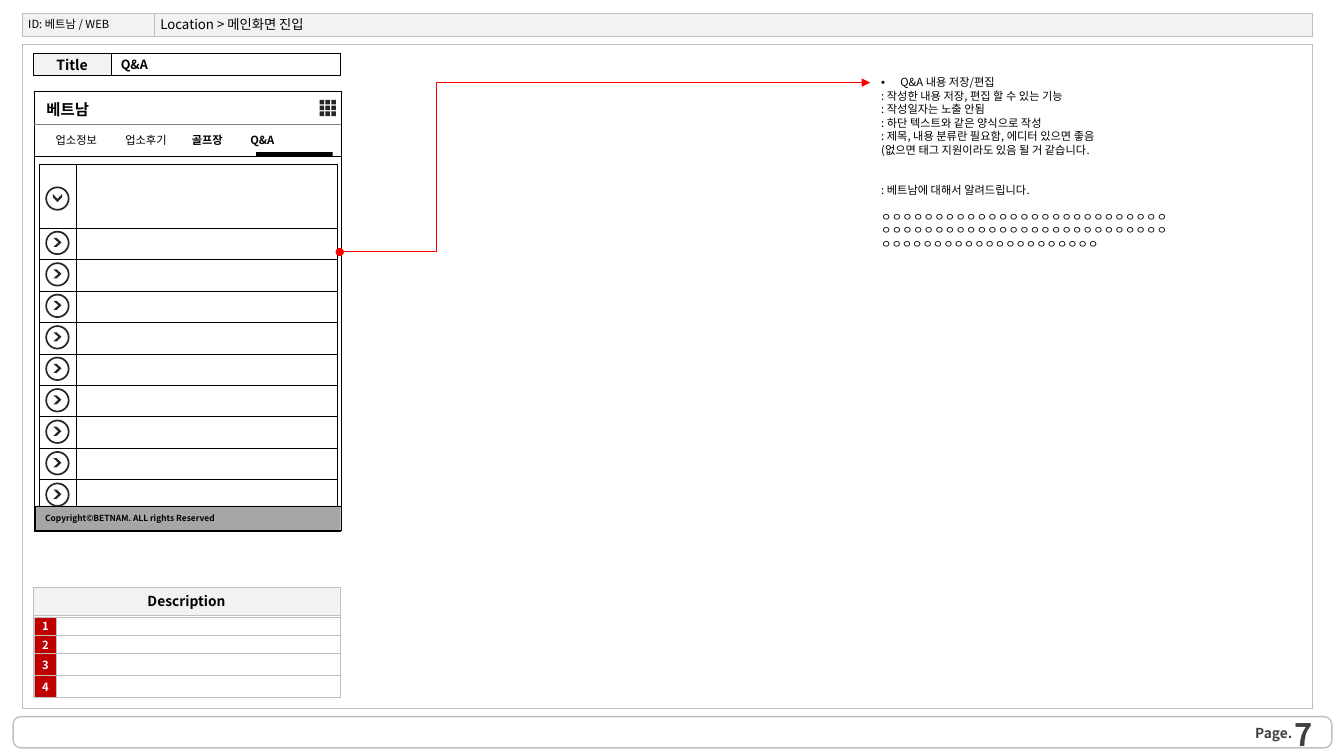
from collections import namedtuple

from lxml import etree
from pptx import Presentation
from pptx import util as u
from pptx.dml.color import RGBColor
from pptx.enum import shapes, text
from pptx.oxml import ns

Box = namedtuple("Box", "left top width height")
FONT = "Noto Sans CJK KR"
COLORS = {
    "black": "000000", "white": "FFFFFF", "ink": "262626", "dark": "404040",
    "gray": "808080", "footer": "A6A6A6", "border": "BFBFBF", "panel": "F2F2F2",
    "number": "C00000", "arrow": "FF0000",
}
KIND = shapes.MSO_SHAPE
ALIGN = text.PP_ALIGN
ANCHOR = text.MSO_ANCHOR


def color(name):
    return RGBColor.from_string(COLORS[name])


def inside(box, left, top, width, height):
    return Box(box.left + left, box.top + top, width, height)


def lengths(values):
    return [u.Inches(value) for value in values]


def add_xml(parent, tag, **attributes):
    return etree.SubElement(parent, ns.qn(tag), attributes)


def style_para(para, size, bold=False, ink="black", align=ALIGN.LEFT):
    para.alignment = align
    para.font.size = u.Pt(size)
    para.font.bold = bold
    para.font.color.rgb = color(ink)
    para.font.name = FONT
    add_xml(para.font._element, "a:ea", typeface=FONT)


def write(frame, words, size, insets=(0.1, 0, 0.1, 0), wrap=True, **style):
    frame.word_wrap = wrap
    frame.auto_size = text.MSO_AUTO_SIZE.NONE
    frame.vertical_anchor = ANCHOR.MIDDLE
    frame.margin_left, frame.margin_top, frame.margin_right, frame.margin_bottom = lengths(insets)
    frame.text = words
    for para in frame.paragraphs:
        style_para(para, size, **style)


def place(page, holder, box):
    holder.left, holder.top, holder.width, holder.height = lengths(box)
    page.shapes._spTree.append(holder._element)


def add_label(page, box, words, size, **style):
    label = page.shapes.add_textbox(*lengths(box))
    write(label.text_frame, words, size, **style)


def add_panel(page, box, kind=KIND.RECTANGLE, fill=None, line=None, weight=0.25):
    panel = page.shapes.add_shape(kind, *lengths(box))
    panel.shadow.inherit = False
    if fill:
        panel.fill.solid()
        panel.fill.fore_color.rgb = color(fill)
    else:
        panel.fill.background()
    if line:
        panel.line.color.rgb = color(line)
        panel.line.width = u.Pt(weight)
    else:
        panel.line.fill.background()
    return panel


def add_line(page, start, end, ink, weight, kind=shapes.MSO_CONNECTOR.STRAIGHT):
    line = page.shapes.add_connector(kind, *lengths(start + end))
    line.line.color.rgb = color(ink)
    line.line.width = u.Pt(weight)
    add_xml(line._element.spPr, "a:effectLst")
    return line


def add_border(cell, ink):
    props = cell._tc.get_or_add_tcPr()
    for index, side in enumerate(("a:lnL", "a:lnR", "a:lnT", "a:lnB")):
        edge = etree.Element(ns.qn(side), w=str(u.Pt(0.25)))
        add_xml(add_xml(edge, "a:solidFill"), "a:srgbClr", val=COLORS[ink])
        props.insert(index, edge)


def add_grid(page, box, widths, heights, border, numbered=False):
    table = page.shapes.add_table(len(heights), len(widths), *lengths(box)).table
    table.first_row = table.horz_banding = False
    for column, width in zip(table.columns, widths):
        column.width = u.Inches(width)
    for number, (row, height) in enumerate(zip(table.rows, heights), 1):
        row.height = u.Inches(height)
        for index, cell in enumerate(row.cells):
            marked = numbered and index == 0
            cell.margin_left = cell.margin_right = u.Inches(0.02)
            cell.margin_top = cell.margin_bottom = 0
            cell.vertical_anchor = ANCHOR.MIDDLE
            cell.fill.solid()
            cell.fill.fore_color.rgb = color("number" if marked else "white")
            if marked:
                cell.text = str(number)
            style_para(cell.text_frame.paragraphs[0], 8, marked, "white", ALIGN.CENTER)
            add_border(cell, border)


def add_frame(page, box):
    footer = add_panel(page, inside(box, 0.13, 7.11, 13.08, 0.31), KIND.ROUNDED_RECTANGLE,
                       line="border", weight=1)
    footer.adjustments[0] = 0.25
    add_panel(page, inside(box, 0.22, 0.44, 12.79, 6.59), line="border")
    add_panel(page, inside(box, 1.53, 0.13, 11.48, 0.23), fill="panel", line="border")
    add_panel(page, inside(box, 0.22, 0.13, 1.31, 0.23), fill="panel", line="border")
    add_label(page, inside(box, 12.45, 7.19, 0.56, 0.17), "Page.", 9.8,
              insets=(0, 0, 0, 0), bold=True, ink="dark")
    add_label(page, inside(box, 10.01, 7.2, 3.11, 0.16), "7", 22.1,
              bold=True, ink="dark", align=ALIGN.RIGHT)
    add_label(page, inside(box, 0.23, 0.1, 1.31, 0.28), "ID: 베트남 / WEB", 8, insets=(0.05, 0, 0, 0))
    title = page.shapes.title
    place(page, title, inside(box, 1.54, 0.1, 8.13, 0.28))
    write(title.text_frame, "Location > 메인화면 진입", 9.5, insets=(0.05, 0, 0, 0))


def add_title_bar(page, box):
    name = add_panel(page, box._replace(width=0.77), fill="panel", line="black")
    write(name.text_frame, "Title", 10, bold=True, align=ALIGN.CENTER)
    value = add_panel(page, inside(box, 0.77, 0, box.width - 0.77, box.height), line="black")
    write(value.text_frame, "Q&A", 9, bold=True)


def add_description(page, box):
    add_panel(page, inside(box, 0, 0.27, box.width, 0.81), line="border")
    heading = add_panel(page, box._replace(height=0.27), fill="panel", line="border")
    write(heading.text_frame, "Description", 9.8, wrap=False, bold=True, align=ALIGN.CENTER)
    add_grid(page, inside(box, 0.01, 0.29, 3.03, 0.8), [0.22, 2.81], [0.18, 0.18, 0.22, 0.22],
             "border", numbered=True)


def add_menu_icon(page, box):
    side, pitch = 0.045, 0.058
    builder = None
    for index in range(9):
        row, column = divmod(index, 3)
        left, top = box.left + column * pitch, box.top + row * pitch
        corners = [lengths((left + x, top + y)) for x, y in ((0, 0), (side, 0), (side, side), (0, side))]
        if builder is None:
            builder = page.shapes.build_freeform(*corners[0])
        else:
            builder.move_to(*corners[0])
        builder.add_line_segments(corners[1:], close=True)
    icon = builder.convert_to_shape()
    icon.shadow.inherit = False
    icon.fill.solid()
    icon.fill.fore_color.rgb = color("ink")
    icon.line.fill.background()


def add_toggle(page, box, opened):
    ring = add_panel(page, box, KIND.DONUT, fill="ink")
    ring.adjustments[0] = 0.07
    chevron = add_panel(page, inside(box, 0.08, 0.07, 0.08, 0.09), KIND.CHEVRON, fill="ink")
    chevron.adjustments[0] = 0.6
    chevron.rotation = 90 if opened else 0


def add_tabs(page, box):
    tabs = add_panel(page, inside(box, 0, 0.36, 3.17, 0.26), KIND.FLOWCHART_ALTERNATE_PROCESS)
    write(tabs.text_frame, "", 8, insets=(0.2, 0, 0, 0))
    para = tabs.text_frame.paragraphs[0]
    for words, bold in (("업소정보\t업소후기\t", False), ("골프장\tQ&A", True)):
        span = para.add_run()
        span.text = words
        span.font.bold = bold
    stops = etree.Element(ns.qn("a:tabLst"))
    for stop in (0.69, 1.35, 1.93):
        add_xml(stops, "a:tab", pos=str(u.Inches(stop)), algn="l")
    para._p.pPr.insert(0, stops)
    for top, ink, weight in ((0.65, "black", 0.25), (0.34, "gray", 0.75)):
        add_line(page, (box.left, box.top + top), (box.left + box.width, box.top + top), ink, weight)
    add_panel(page, inside(box, 2.2, 0.61, 0.76, 0.04), fill="black")


def add_phone(page, box):
    add_grid(page, box, [box.width], [box.height], "black")
    add_label(page, inside(box, -0.02, 0.02, 3.05, 0.32), "베트남", 11, insets=(0.14, 0, 0, 0), bold=True)
    add_tabs(page, box)
    add_menu_icon(page, inside(box, 2.83, 0.09, 0.16, 0.16))
    first, total, count = 0.63, 3.44, 9
    step = (total - first) / count
    add_grid(page, inside(box, 0.05, 0.73, 2.95, total), [0.37, 2.58], [first] + [step] * count, "black")
    add_toggle(page, inside(box, 0.11, 0.95, 0.24, 0.24), True)
    for index in range(count):
        add_toggle(page, inside(box, 0.11, 1.39 + index * step, 0.24, 0.24), False)
    footer = add_panel(page, inside(box, 0.01, 4.12, 3.03, 0.24), fill="footer", line="black")
    write(footer.text_frame, "Copyright©BETNAM. ALL rights Reserved", 6, bold=True, align=ALIGN.JUSTIFY)


def add_notes_text(page, box):
    lines = ["Q&A 내용 저장/편집", ": 작성한 내용 저장, 편집 할 수 있는 기능", ": 작성일자는 노출 안됨",
             ": 하단 텍스트와 같은 양식으로 작성", ": 제목, 내용 분류란 필요함, 에디터 있으면 좋음",
             "(없으면 태그 지원이라도 있음 될 거 같습니다.", ": 베트남에 대해서 알려드립니다.", "ㅇ" * 75]
    gaps = {6: 19.2, 7: 9.6}
    body = page.placeholders[1]
    place(page, body, box)
    write(body.text_frame, "\n".join(lines), 8, align=ALIGN.JUSTIFY)
    body.text_frame.vertical_anchor = ANCHOR.TOP
    for index, para in enumerate(body.text_frame.paragraphs):
        para.line_spacing = u.Pt(9.6)
        para.space_before = u.Pt(gaps.get(index, 0))
        props = para._p.pPr
        indent = 0 if index else u.Inches(0.19)
        props.set("marL", str(indent))
        props.set("indent", str(-indent))
        bullet = etree.Element(ns.qn("a:buNone" if index else "a:buChar"))
        if not index:
            bullet.set("char", "•")
        props.find(ns.qn("a:defRPr")).addprevious(bullet)


def add_callout(page, start, end):
    arrow = add_line(page, start, end, "arrow", 0.75, shapes.MSO_CONNECTOR.ELBOW)
    guides = arrow._element.spPr.find(ns.qn("a:prstGeom")).get_or_add_avLst()
    add_xml(guides, "a:gd", name="adj1", fmla="val 18200")
    line = arrow.line._get_or_add_ln()
    add_xml(line, "a:headEnd", type="oval")
    add_xml(line, "a:tailEnd", type="triangle")


def main():
    deck = Presentation()
    deck.slide_width, deck.slide_height = lengths((13.33, 7.5))
    page = deck.slides.add_slide(deck.slide_layouts[1])
    add_frame(page, Box(0, 0, 13.33, 7.5))
    add_title_bar(page, Box(0.33, 0.53, 3.04, 0.22))
    add_description(page, Box(0.33, 5.83, 3.04, 1.08))
    add_phone(page, Box(0.34, 0.9, 3.04, 4.37))
    add_callout(page, (3.37, 2.5), (8.63, 0.82))
    add_notes_text(page, Box(8.64, 0.75, 3.04, 2.04))
    deck.save("out.pptx")


if __name__ == "__main__":
    main()
